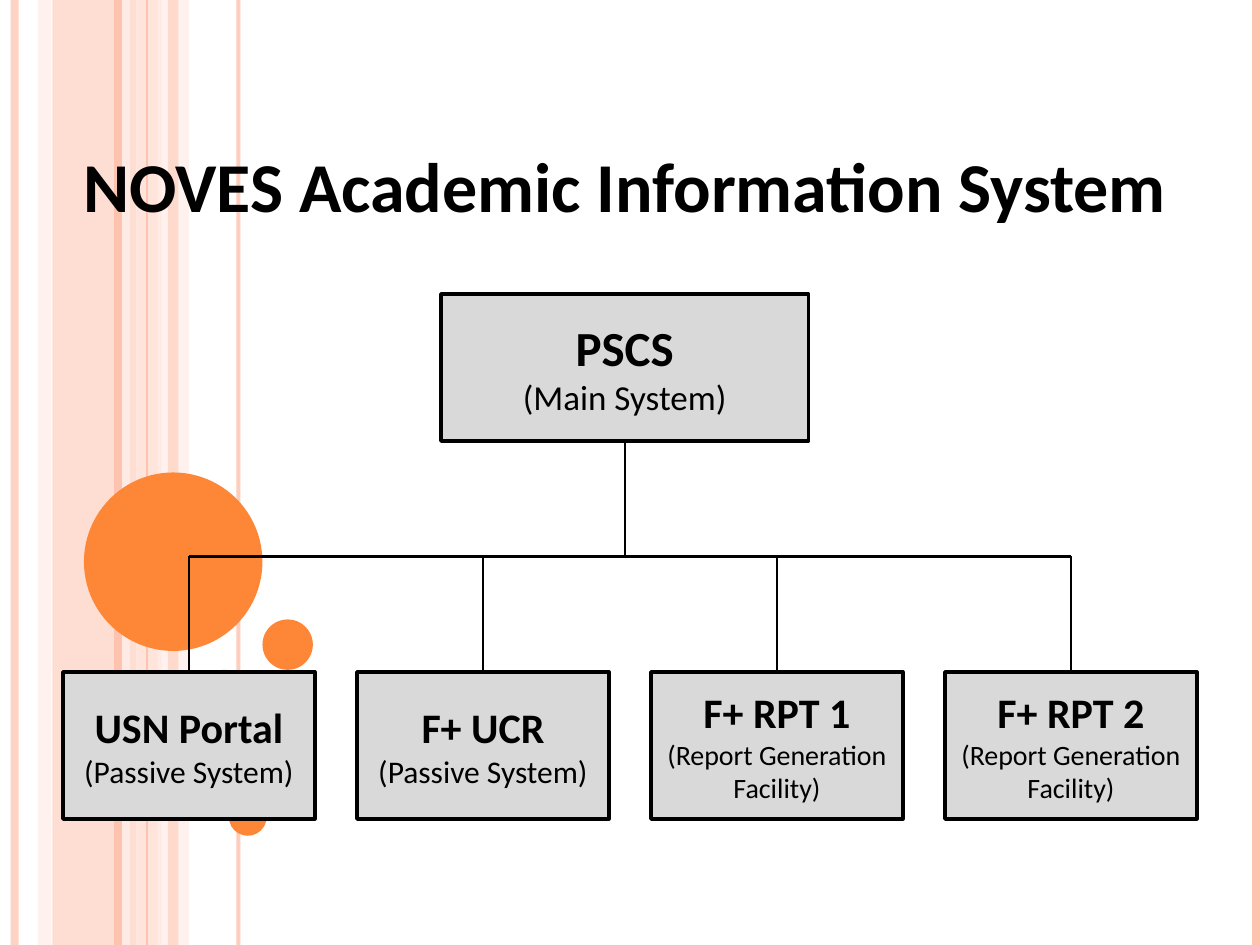
from typing import NamedTuple

from lxml import etree
from pptx import Presentation
from pptx.dml.color import RGBColor
from pptx.enum.shapes import MSO_CONNECTOR, MSO_SHAPE
from pptx.enum.text import MSO_ANCHOR, MSO_AUTO_SIZE, PP_ALIGN
from pptx.oxml.ns import qn
from pptx.util import Inches, Pt

RECT, OVAL = MSO_SHAPE.RECTANGLE, MSO_SHAPE.OVAL
STRAIGHT = MSO_CONNECTOR.STRAIGHT
CENTER, TOP, MIDDLE = PP_ALIGN.CENTER, MSO_ANCHOR.TOP, MSO_ANCHOR.MIDDLE
FIT_SHAPE = MSO_AUTO_SIZE.SHAPE_TO_FIT_TEXT

COLORS = {
    "rose": "FEC3AE", "blush": "FFD9CE", "pale": "FFEDE8",
    "orange": "FE8637", "grey": "D9D9D9", "black": "000000",
}
FONT = "Calibri"

# The slide is a grid of 120 columns by 90 rows
COLS, ROWS = 120, 90
CELL = Inches(10) // COLS


class Band(NamedTuple):
    col: float
    width: float
    color: str
    opacity: int


class Stripe(NamedTuple):
    col: float
    points: float
    color: str
    opacity: int


class Dot(NamedTuple):
    col: float
    row: float
    size: float


class Box(NamedTuple):
    name: str
    note: str
    col: float
    row: float
    width: float
    name_size: int
    note_size: int

    @property
    def center(self) -> float:
        return self.col + self.width / 2


BANDS = [
    Band(5, 8, "rose", 54), Band(3.6, 1.3, "blush", 36),
    Band(13, 2.4, "blush", 70), Band(15, 3, "pale", 71),
]
STRIPES = [
    Stripe(1.4, 4.5, "rose", 73), Stripe(12, 4.5, "pale", 83),
    Stripe(11.2, 4.5, "rose", 100), Stripe(22.7, 2.25, "rose", 82),
    Stripe(14, 0.75, "rose", 100), Stripe(119.6, 4.5, "rose", 100),
]
FRONT_BAND = Band(16, 1, "rose", 51)
DOTS = [Dot(8, 45, 17), Dot(17.2, 63.8, 8.4), Dot(21.8, 76, 3.6), Dot(25, 59, 4.8)]

BOX_HEIGHT, BUS_ROW = 14, 53
MAIN = Box("PSCS", "(Main System)", 42, 28, 35, 28, 20)
SUBSYSTEMS = [
    ("USN Portal", "(Passive System)", 18),
    ("F+ UCR", "(Passive System)", 18),
    ("F+ RPT 1", "(Report Generation Facility)", 16),
    ("F+ RPT 2", "(Report Generation Facility)", 16),
]
CHILDREN = [
    Box(name, note, 6 + 28 * i, 64, 24, 24, size)
    for i, (name, note, size) in enumerate(SUBSYSTEMS)
]


def grid(n: float) -> int:
    return round(n * CELL)


def paint(fill, color: str, opacity: int = 100) -> None:
    fill.solid()
    fill.fore_color.rgb = RGBColor.from_string(COLORS[color])
    if opacity < 100:
        clr = fill._xPr.find(".//" + qn("a:srgbClr"))
        etree.SubElement(clr, qn("a:alpha"), val=str(opacity * 1000))


def add_shape(slide, kind, col: float, row: float, width: float, height: float,
              color: str, opacity: int = 100):
    sp = slide.shapes.add_shape(kind, grid(col), grid(row), grid(width), grid(height))
    sp.shadow.inherit = False
    paint(sp.fill, color, opacity)
    sp.line.fill.background()
    return sp


def add_band(slide, band: Band) -> None:
    add_shape(slide, RECT, band.col, 0, band.width, ROWS, band.color, band.opacity)


def add_line(slide, start: tuple[float, float], end: tuple[float, float],
             color: str = "black", points: float = 1.25, opacity: int = 100) -> None:
    line = slide.shapes.add_connector(STRAIGHT, *map(grid, start + end))
    paint(line.line.fill, color, opacity)
    line.line.width = Pt(points)
    etree.SubElement(line.element.spPr, qn("a:effectLst"))


def write(p, text: str, size: int, bold: bool) -> None:
    p.text = text
    p.alignment = CENTER
    p.font.name, p.font.size, p.font.bold = FONT, Pt(size), bold
    p.font.color.rgb = RGBColor.from_string(COLORS["black"])


def add_box(slide, box: Box) -> None:
    sp = add_shape(slide, RECT, box.col, box.row, box.width, BOX_HEIGHT, "grey")
    paint(sp.line.fill, "black")
    sp.line.width = Pt(2)
    tf = sp.text_frame
    tf.word_wrap, tf.vertical_anchor = True, MIDDLE
    write(tf.paragraphs[0], box.name, box.name_size, True)
    write(tf.add_paragraph(), box.note, box.note_size, False)


def add_title(slide, text: str) -> None:
    title = slide.shapes.title
    title.left, title.top = grid(3), grid(13)
    title.width, title.height = grid(113), grid(9.2)
    tf = title.text_frame
    tf.word_wrap, tf.vertical_anchor, tf.auto_size = True, TOP, FIT_SHAPE
    write(tf.paragraphs[0], text, 40, True)
    # Bring the title in front of the decoration
    slide.shapes.element.append(title.element)


def main() -> None:
    prs = Presentation()
    prs.slide_width, prs.slide_height = grid(COLS), grid(ROWS)
    slide = prs.slides.add_slide(prs.slide_layouts.get_by_name("Title Only"))

    # Striped backdrop and dots
    for band in BANDS:
        add_band(slide, band)
    for s in STRIPES:
        add_line(slide, (s.col, 0), (s.col, ROWS), s.color, s.points, s.opacity)
    add_band(slide, FRONT_BAND)
    for dot in DOTS:
        add_shape(slide, OVAL, dot.col, dot.row, dot.size, dot.size, "orange")

    add_title(slide, "NOVES Academic Information System")

    # System hierarchy
    for box in [MAIN, *CHILDREN]:
        add_box(slide, box)

    # Trunk, bus and drops
    add_line(slide, (MAIN.center, MAIN.row + BOX_HEIGHT), (MAIN.center, BUS_ROW))
    add_line(slide, (CHILDREN[0].center, BUS_ROW), (CHILDREN[-1].center, BUS_ROW))
    for child in CHILDREN:
        add_line(slide, (child.center, BUS_ROW), (child.center, child.row))

    prs.save("out.pptx")


if __name__ == "__main__":
    main()
